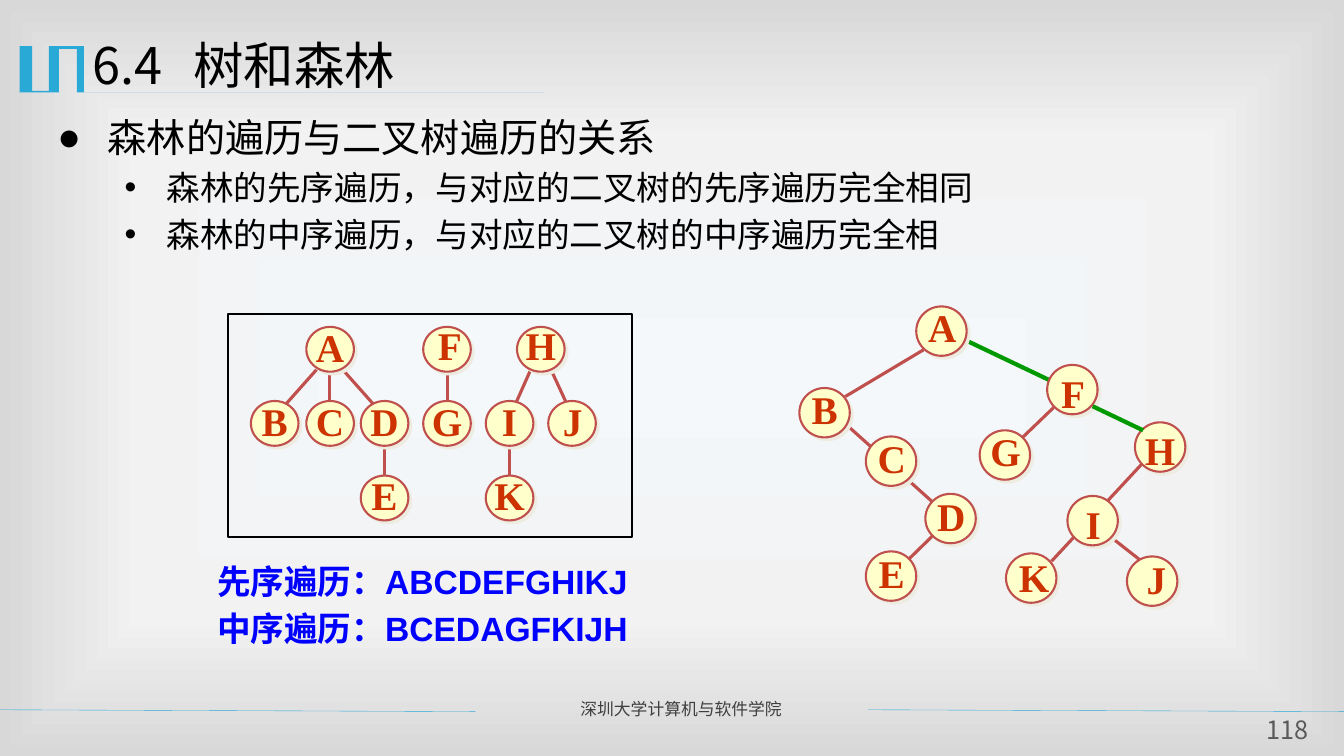
from pptx import Presentation
from pptx.dml.color import RGBColor
from pptx.enum.shapes import MSO_CONNECTOR, MSO_SHAPE
from pptx.enum.text import MSO_ANCHOR, MSO_AUTO_SIZE, PP_ALIGN
from pptx.oxml import parse_xml
from pptx.oxml.ns import nsdecls
from pptx.util import Pt

STRAIGHT = MSO_CONNECTOR.STRAIGHT
OVAL, RECTANGLE = MSO_SHAPE.OVAL, MSO_SHAPE.RECTANGLE
TOP, MIDDLE = MSO_ANCHOR.TOP, MSO_ANCHOR.MIDDLE
LEFT, CENTER = PP_ALIGN.LEFT, PP_ALIGN.CENTER
NO_AUTOFIT = MSO_AUTO_SIZE.NONE

BLACK = RGBColor(0x00, 0x00, 0x00)
CYAN = RGBColor(0x28, 0xA9, 0xD6)
DARK_GRAY = RGBColor(0x3F, 0x3F, 0x3F)
GRAY = RGBColor(0x59, 0x59, 0x59)
RED = RGBColor(0xC0, 0x50, 0x4D)
LETTER_RED = RGBColor(0xCC, 0x33, 0x00)
CREAM = RGBColor(0xFF, 0xFF, 0xCC)
GREEN = RGBColor(0x00, 0x99, 0x00)
BLUE = RGBColor(0x00, 0x00, 0xFF)
NODE_SHADOW = RGBColor(0xEE, 0xEC, 0xE1)
BACKGROUND_STOPS = [
    (0, RGBColor(0xF4, 0xF8, 0xFB)),
    (63, RGBColor(0xF2, 0xF2, 0xF2)),
    (100, RGBColor(0xD8, 0xD8, 0xD8)),
]
CJK, SERIF, SANS = "Noto Sans CJK SC", "Times New Roman", "Arial"

EMBLEM = [
    (59.8, 33.1), (59.8, 65.5), (388.8, 65.5), (388.8, 66.2), (55.4, 66.2),
    (55.4, 34.6), (42.5, 34.6), (42.5, 66.2), (13.7, 66.2), (13.7, 33.1),
    (23, 33.1), (23, 64.8), (35.3, 64.8), (35.3, 33.1),
]

FOREST_SIZE = (34, 32)
FOREST_NODES = [
    ("A", 235.8, 249.5, 0, -2), ("F", 319.3, 249.5, 2, -3.5),
    ("H", 386.3, 249.5, 0, -3.5), ("B", 196.2, 302.4, 0, -2),
    ("C", 235.8, 302.4, 0, -2), ("D", 274.7, 302.4, 0, -2),
    ("G", 319.3, 302.4, 0, -2), ("I", 364, 302.4, 0, -2),
    ("J", 408.6, 302.4, 0.5, -2), ("E", 274.7, 355.7, 0, -2),
    ("K", 364, 355.7, 0, -2),
]
FOREST_EDGES = [
    (391.7, 260, 409, 297.4), (380.9, 260, 364.3, 297.4),
    (241.2, 260, 269.3, 291.6), (229.7, 260, 201.6, 291.6),
    (364, 313.2, 364, 345.6), (274.5, 313.2, 274.5, 345.6),
    (319.5, 260, 319.5, 291.6), (235.6, 260, 235.6, 291.6),
]

BINARY_SIZE = (36, 35.3)
BINARY_NODES = [
    ("A", 672.5, 236.5, 0.5, -3), ("B", 589, 294.8, 0, -3),
    ("C", 636.5, 329.4, 0.5, -2), ("D", 679, 370.4, 0.5, -2),
    ("E", 636.5, 411.5, 0.5, -2), ("F", 766, 278.3, 0.5, 2),
    ("G", 717.8, 325, 0.5, -3), ("H", 828.7, 319.3, 0, 2),
    ("I", 780.5, 371.9, 0.5, 2), ("K", 736.6, 412.9, 2, -0.7),
    ("J", 823, 415.1, 3, -1.4),
]
BINARY_EDGES = [
    (672.5, 376.6, 643, 405.4), (594.7, 294.5, 672.5, 364.3),
    (661, 249.1, 594.7, 288.7), (792.7, 383, 823, 406.8),
    (816.5, 330.5, 751, 401), (759.6, 284.4, 723.6, 319),
]


def write(paragraph, text, size, color, font=CJK, bold=False, align=LEFT,
          line=None, before=0, level=0, margin=0, indent=0, bullet=None, tab=None):
    paragraph.alignment = align
    paragraph.level = level
    paragraph.space_before = Pt(before)
    if line:
        paragraph.line_spacing = Pt(line)
    properties = paragraph._p.get_or_add_pPr()
    properties.set("marL", str(Pt(margin)))
    properties.set("indent", str(Pt(indent)))
    if bullet:
        properties.append(parse_xml(f'<a:buFont {nsdecls("a")} typeface="{SANS}"/>'))
        properties.append(parse_xml(f'<a:buChar {nsdecls("a")} char="{bullet}"/>'))
    if tab:
        properties.append(parse_xml(
            f'<a:tabLst {nsdecls("a")}><a:tab pos="{Pt(tab)}" algn="l"/></a:tabLst>'))
    run = paragraph.add_run()
    run.text = text
    run.font.size = Pt(size)
    run.font.bold = bold
    run.font.color.rgb = color
    run.font.name = font
    run._r.get_or_add_rPr().append(
        parse_xml(f'<a:ea {nsdecls("a")} typeface="{CJK}"/>'))


def place(shape, left, top, width, height):
    shape.left, shape.top = Pt(left), Pt(top)
    shape.width, shape.height = Pt(width), Pt(height)
    frame = shape.text_frame
    frame.auto_size = NO_AUTOFIT
    frame.vertical_anchor = TOP
    frame.word_wrap = True
    return frame


def add_frame(slide, left, top, width, height):
    box = slide.shapes.add_textbox(0, 0, 0, 0)
    return place(box, left, top, width, height)


def add_edge(slide, x1, y1, x2, y2, color=RED, weight=2.25):
    edge = slide.shapes.add_connector(STRAIGHT, Pt(x1), Pt(y1), Pt(x2), Pt(y2))
    edge.line.color.rgb = color
    edge.line.width = Pt(weight)
    edge._element.spPr.append(parse_xml(f'<a:effectLst {nsdecls("a")}/>'))


def add_node(slide, size, letter, x, y, shift, drop):
    width, height = size
    circle = slide.shapes.add_shape(
        OVAL, Pt(x - width / 2), Pt(y - height / 2), Pt(width), Pt(height))
    circle.fill.solid()
    circle.fill.fore_color.rgb = CREAM
    circle.line.color.rgb = RED
    circle.line.width = Pt(1.5)
    circle._element.spPr.append(parse_xml(
        f'<a:effectLst {nsdecls("a")}><a:outerShdw dist="{Pt(2.8)}" dir="2700000" '
        f'algn="ctr" rotWithShape="0"><a:srgbClr val="{NODE_SHADOW}"/>'
        '</a:outerShdw></a:effectLst>'))
    frame = add_frame(slide, x + shift - 18, y + drop - 20.5, 36, 41)
    frame.vertical_anchor = MIDDLE
    frame.word_wrap = False
    write(frame.paragraphs[0], letter, 28, LETTER_RED, font=SERIF, bold=True, align=CENTER)


def add_tree(slide, size, nodes, edges):
    for edge in edges:
        add_edge(slide, *edge)
    for node in nodes:
        add_node(slide, size, *node)


def add_background(slide):
    stops = "".join(
        f'<a:gs pos="{position * 1000}"><a:srgbClr val="{color}"/></a:gs>'
        for position, color in BACKGROUND_STOPS)
    slide._element.cSld.insert(0, parse_xml(
        f'<p:bg {nsdecls("p", "a")}><p:bgPr><a:gradFill rotWithShape="1">'
        f'<a:gsLst>{stops}</a:gsLst><a:path path="rect">'
        '<a:fillToRect l="50000" t="50000" r="50000" b="50000"/></a:path>'
        '</a:gradFill><a:effectLst/></p:bgPr></p:bg>'))


def add_emblem(slide):
    builder = slide.shapes.build_freeform(*EMBLEM[0], scale=Pt(1))
    builder.add_line_segments(EMBLEM[1:], close=True)
    emblem = builder.convert_to_shape()
    emblem.shadow.inherit = False
    emblem.fill.solid()
    emblem.fill.fore_color.rgb = CYAN
    emblem.line.fill.background()


def add_footer(slide):
    for left in (-0.5, 620):
        add_edge(slide, left, 507, left + 340, 508.3, CYAN, 0.25)
    school = add_frame(slide, 407.5, 495.5, 205, 22)
    write(school.paragraphs[0], "深圳大学计算机与软件学院", 12, DARK_GRAY)
    number = add_frame(slide, 898.5, 510, 42.5, 26)
    number.margin_left = number.margin_right = number.margin_top = number.margin_bottom = 0
    write(number.paragraphs[0], "118", 18, GRAY, align=CENTER)


def add_headings(slide):
    title = place(slide.shapes.title, 59, 17.3, 864, 62.6)
    write(title.paragraphs[0], "6.4\t树和森林", 36, BLACK, line=47, tab=66)
    body = place(slide.placeholders[1], 33.8, 74.9, 873.4, 162)
    write(body.paragraphs[0], "森林的遍历与二叉树遍历的关系", 28, BLACK,
          line=36, level=1, margin=36, indent=-36, bullet="●")
    for relation in ("森林的先序遍历，与对应的二叉树的先序遍历完全相同",
                     "森林的中序遍历，与对应的二叉树的中序遍历完全相"):
        write(body.add_paragraph(), relation, 24, BLACK, line=29, before=4.6,
              level=1, margin=78, indent=-30, bullet="•")


def add_forest(slide):
    add_tree(slide, FOREST_SIZE, FOREST_NODES, FOREST_EDGES)
    border = slide.shapes.add_shape(RECTANGLE, Pt(162.7), Pt(224.6), Pt(289), Pt(159))
    border.shadow.inherit = False
    border.fill.background()
    border.line.color.rgb = BLACK
    border.line.width = Pt(1.5)
    orders = add_frame(slide, 100, 394.6, 379.5, 71.3)
    style = dict(size=24, color=BLUE, font=SANS, bold=True, line=31, level=1, margin=48)
    write(orders.paragraphs[0], "先序遍历：ABCDEFGHIKJ", **style)
    write(orders.add_paragraph(), "中序遍历：BCEDAGFKIJH", before=2.6, **style)


def add_binary_tree(slide):
    add_edge(slide, 690.5, 243.4, 751, 272.2, GREEN, 3)
    add_tree(slide, BINARY_SIZE, BINARY_NODES, BINARY_EDGES)
    add_edge(slide, 780.5, 290.2, 816.5, 307.4, GREEN, 3)


def main():
    deck = Presentation()
    deck.slide_width, deck.slide_height = Pt(960), Pt(540)
    slide = deck.slides.add_slide(deck.slide_layouts[1])
    add_background(slide)
    add_emblem(slide)
    add_footer(slide)
    add_headings(slide)
    add_forest(slide)
    add_binary_tree(slide)
    deck.save("out.pptx")


if __name__ == "__main__":
    main()
